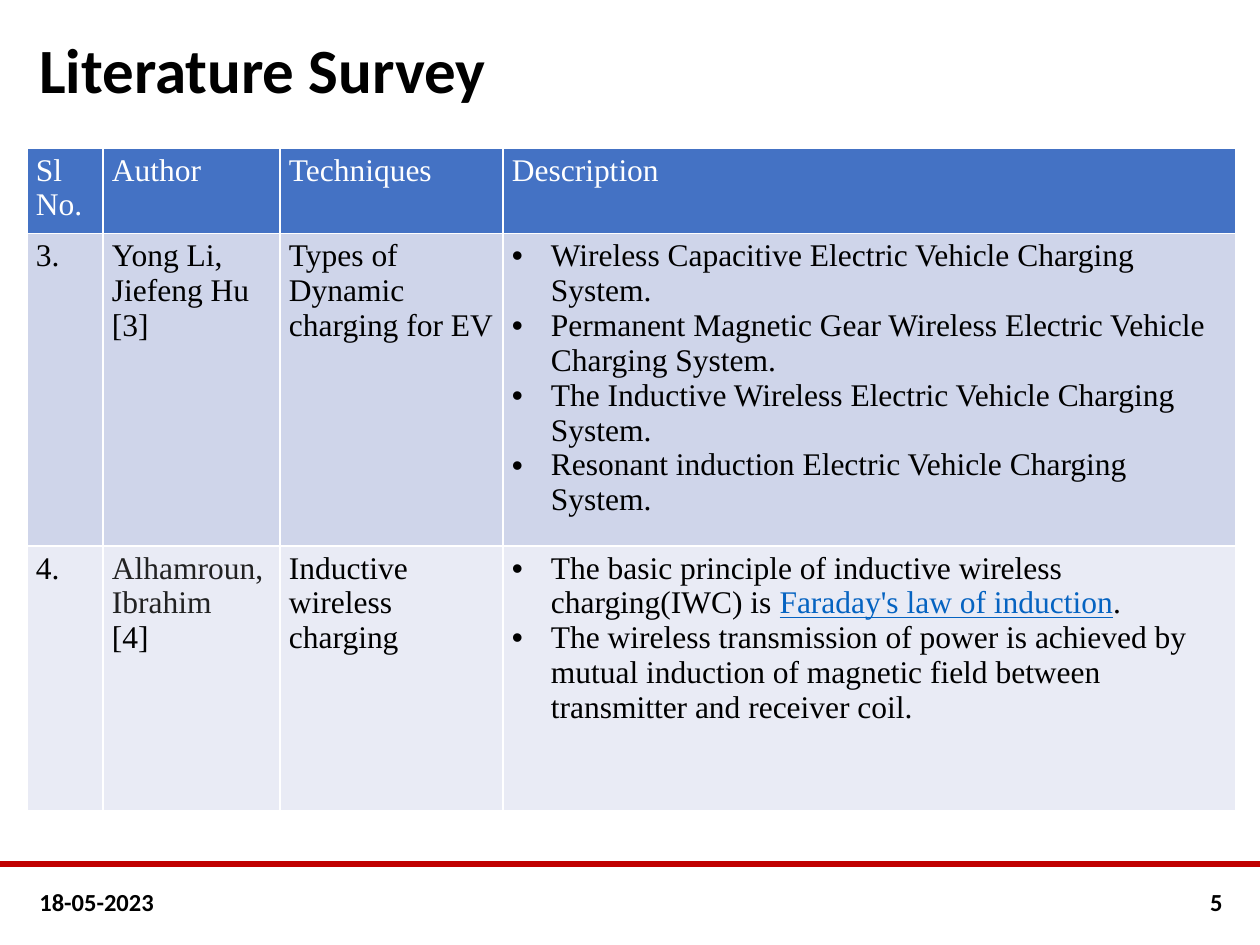
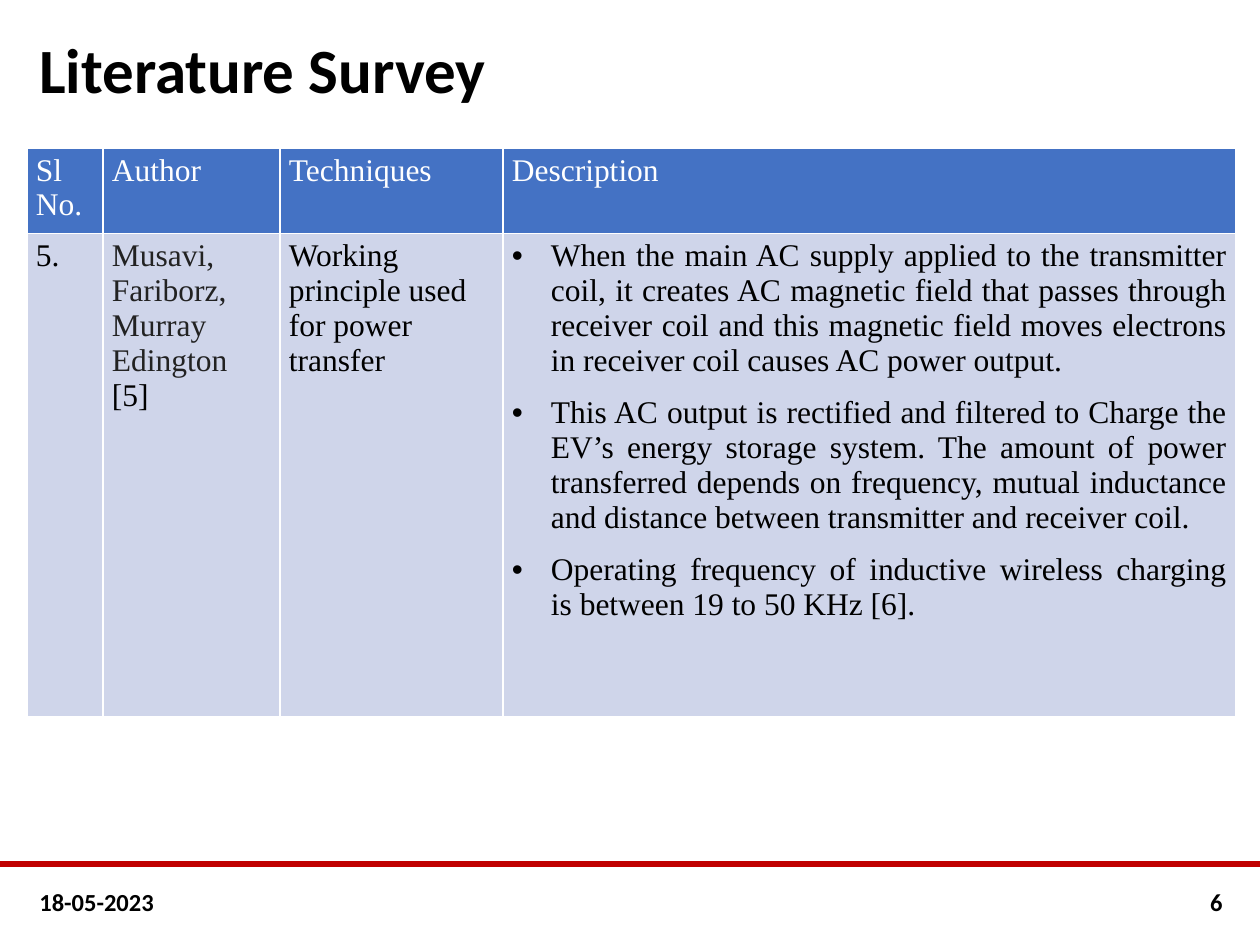
from lxml.etree import SubElement
from pptx import Presentation
from pptx.dml.color import RGBColor
from pptx.enum.shapes import MSO_CONNECTOR
from pptx.enum.text import MSO_ANCHOR, PP_ALIGN
from pptx.oxml import parse_xml
from pptx.oxml.ns import nsdecls, qn
from pptx.util import Emu, Pt

BLACK, WHITE, GREY = "000000", "FFFFFF", "222222"
RULE_RED, LINK_BLUE = "C00000", "0563C1"
HEADER_FILL, BAND_FILLS = "4472C4", ["CFD5EA", "E9EBF5"]
TITLE_FONT, TABLE_FONT = "Calibri", "Times New Roman"
TITLE, DATE = "Literature Survey", "18-05-2023"
HEADERS = ["Sl No.", "Author", "Techniques", "Description"]
COLUMN_WIDTHS = [76, 177, 223, 733]
LINK = "Faraday's law of induction"

# Each row: number, author, author colour, reference, technique, description
SURVEYS = [
    dict(page="5", heights=[82, 288, 265], align=PP_ALIGN.LEFT, space=0, rows=[
        ("3.", "Yong Li, Jiefeng Hu", BLACK, "[3]", "Types of Dynamic charging for EV", [
            "Wireless Capacitive Electric Vehicle Charging System.",
            "Permanent Magnetic Gear Wireless Electric Vehicle Charging System.",
            "The Inductive Wireless Electric Vehicle Charging System.",
            "Resonant induction Electric Vehicle Charging System."]),
        ("4.", "Alhamroun,Ibrahim", GREY, "[4]", "Inductive wireless charging", [
            f"The basic principle of inductive wireless charging(IWC) is {LINK}.",
            "The wireless transmission of power is achieved by mutual induction of "
            "magnetic field between transmitter and receiver coil."]),
    ]),
    dict(page="6", heights=[79, 483], align=PP_ALIGN.JUSTIFY, space=10, rows=[
        ("5.", "Musavi, Fariborz, Murray Edington", GREY, "[5]",
         "Working principle used for power transfer", [
            "When the main AC supply applied to the transmitter coil, it creates AC "
            "magnetic field that passes through receiver coil and this magnetic field "
            "moves electrons in receiver coil causes AC power output.",
            "This AC output is rectified and filtered to Charge the EV’s energy storage "
            "system. The amount of power transferred depends on frequency, mutual "
            "inductance and distance between transmitter and receiver coil.",
            "Operating frequency of inductive wireless charging is between 19 to 50 KHz [6]."]),
    ]),
]


def px(n):
    """Turn pixels, 126 to the inch, into EMU."""
    return Emu(round(n * 914400 / 126))


def rgb(color):
    return RGBColor.from_string(color)


prs = Presentation()
prs.slide_width, prs.slide_height = px(1260), px(945)

for survey in SURVEYS:
    s = prs.slides.add_slide(prs.slide_layouts[6])

    rule = s.shapes.add_connector(MSO_CONNECTOR.STRAIGHT, 0, px(864), px(1260), px(864))
    rule.line.color.rgb = rgb(RULE_RED)
    rule.line.width = Pt(3)
    SubElement(rule._element.spPr, qn("a:effectLst"))

    # Title, date and page number
    for text, box, size, align, spacing in [
        (TITLE, (27, 30, 1210, 87), 36, PP_ALIGN.LEFT, 0.9),
        (DATE, (27, 877, 163, 50), 14, PP_ALIGN.LEFT, 1.0),
        (survey["page"], (1160, 877, 75, 50), 14, PP_ALIGN.RIGHT, 1.0),
    ]:
        tf = s.shapes.add_textbox(*map(px, box)).text_frame
        tf.word_wrap = True
        tf.vertical_anchor = MSO_ANCHOR.MIDDLE
        p = tf.paragraphs[0]
        p.text, p.alignment, p.line_spacing = text, align, spacing
        p.font.name, p.font.size, p.font.bold = TITLE_FONT, Pt(size), True
        p.font.color.rgb = rgb(BLACK)

    # Survey table
    heights = survey["heights"]
    table = s.shapes.add_table(len(heights), len(HEADERS), px(27), px(148),
                               px(sum(COLUMN_WIDTHS)), px(sum(heights))).table
    for column, width in zip(table.columns, COLUMN_WIDTHS):
        column.width = px(width)
    for row, height in zip(table.rows, heights):
        row.height = px(height)

    # Every cell is a list of (text, colour) paragraphs
    grid = [[[(header, WHITE)] for header in HEADERS]]
    for number, author, author_color, reference, technique, points in survey["rows"]:
        grid.append([[(number, BLACK)],
                     [(author, author_color), (reference, BLACK)],
                     [(technique, BLACK)],
                     [(point, BLACK) for point in points]])

    for i, cells in enumerate(grid):
        for j, paragraphs in enumerate(cells):
            cell = table.cell(i, j)
            cell.margin_left = cell.margin_right = px(9)
            cell.margin_top = cell.margin_bottom = px(5)
            cell.fill.solid()
            cell.fill.fore_color.rgb = rgb(BAND_FILLS[(i - 1) % 2] if i else HEADER_FILL)
            tcPr = cell._tc.get_or_add_tcPr()
            for k, side in enumerate("LRTB"):
                tcPr.insert(k, parse_xml(
                    f'<a:ln{side} {nsdecls("a")} w="12700"><a:solidFill>'
                    f'<a:srgbClr val="{WHITE}"/></a:solidFill></a:ln{side}>'))

            tf = cell.text_frame
            for k, (text, color) in enumerate(paragraphs):
                p = tf.add_paragraph() if k else tf.paragraphs[0]
                p.font.name, p.font.size, p.font.bold = TABLE_FONT, Pt(18), False
                p.font.color.rgb = rgb(color)
                for part in filter(None, text.partition(LINK)):
                    r = p.add_run()
                    r.text = part
                    if part == LINK:
                        r.font.underline = True
                        r.font.color.rgb = rgb(LINK_BLUE)
                if i and j == 3:
                    p.alignment = survey["align"]
                    p.space_before = Pt(survey["space"])
                    pPr = p._p.get_or_add_pPr()
                    pPr.set("marL", str(px(39)))
                    pPr.set("indent", str(-px(39)))
                    bullet_font = parse_xml(f'<a:buFont {nsdecls("a")} typeface="Arial"/>')
                    bullet = parse_xml(f'<a:buChar {nsdecls("a")} char="•"/>')
                    defRPr = pPr.find(qn("a:defRPr"))
                    defRPr.addprevious(bullet_font)
                    defRPr.addprevious(bullet)

prs.save("out.pptx")
